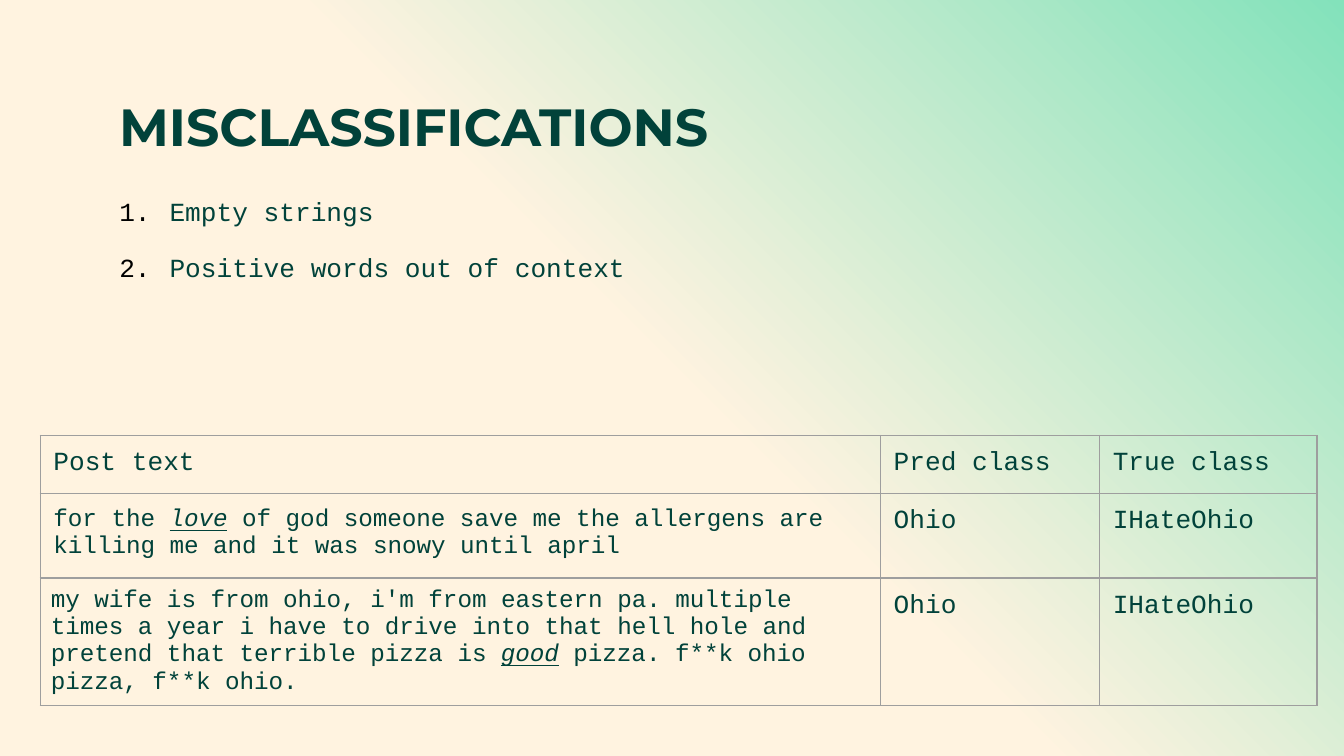
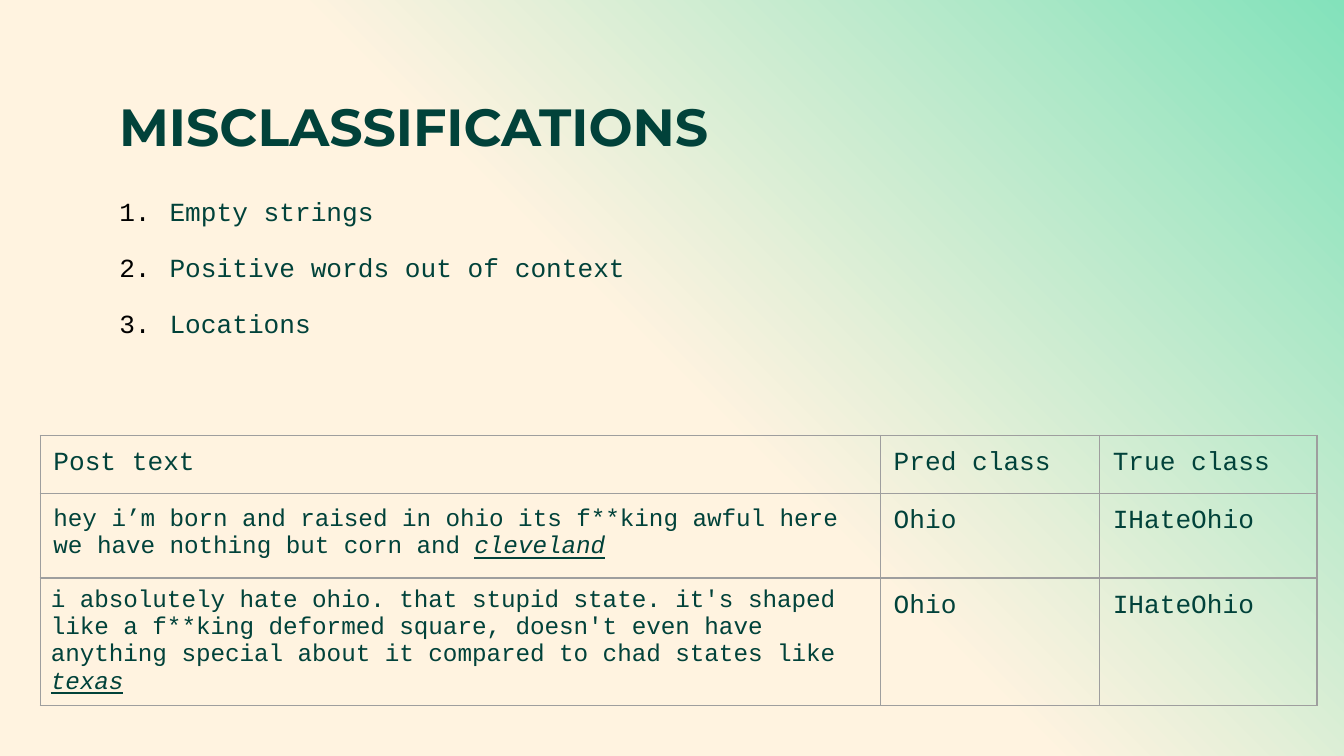
from copy import deepcopy
from dataclasses import dataclass

from lxml.etree import SubElement
from pptx import Presentation
from pptx.dml.color import RGBColor
from pptx.enum.text import MSO_ANCHOR, MSO_AUTO_SIZE, PP_ALIGN
from pptx.oxml.ns import qn
from pptx.util import Cm, Pt

INK = "01423A"
CREAM = "FFF3E0"
MINT = "83E2BB"
RULE = "9E9E9E"
BLACK = "000000"
TITLE_FONT = "Montserrat"
TEXT_FONT = "Courier New"

TITLE = "MISCLASSIFICATIONS"
HEADINGS = ("Post text", "Pred class", "True class")
COLUMN_WIDTHS = (15.88, 4.14, 4.11)
ROW_HEIGHTS = (1.07, 1.53, 2.4)
ITEM_PITCH = 1.02
HANGING = Cm(0.95)


@dataclass(frozen=True)
class Post:
    before: str
    stressed: str
    after: str = ""
    predicted: str = "Ohio"
    actual: str = "IHateOhio"


@dataclass(frozen=True)
class ErrorPage:
    causes: tuple[str, ...]
    posts: tuple[Post, Post]


PAGES = (
    ErrorPage(
        ("Empty strings", "Positive words out of context"),
        (
            Post("for the ", "love",
                 " of god someone save me the allergens are killing me"
                 " and it was snowy until april"),
            Post("my wife is from ohio, i'm from eastern pa. multiple times a year"
                 " i have to drive into that hell hole and pretend that"
                 " terrible pizza is ", "good",
                 " pizza. f**k ohio pizza, f**k ohio."),
        ),
    ),
    ErrorPage(
        ("Empty strings", "Positive words out of context", "Locations"),
        (
            Post("hey i’m born and raised in ohio its f**king awful here"
                 " we have nothing but corn and ", "cleveland"),
            Post("i absolutely hate ohio. that stupid state. it's shaped like"
                 " a f**king deformed square, doesn't even have anything special"
                 " about it compared to chad states like ", "texas"),
        ),
    ),
)


def colour(value: str) -> RGBColor:
    return RGBColor.from_string(value)


def add_span(para, text: str, size: float, font: str = TEXT_FONT,
             bold: bool = False, stressed: bool = False) -> None:
    span = para.add_run()
    span.text = text
    span.font.name = font
    span.font.size = Pt(size)
    span.font.color.rgb = colour(INK)
    span.font.bold = bold
    if stressed:
        span.font.italic = True
        span.font.underline = True


def place(box, left: float, top: float, width: float, height: float) -> None:
    box.left, box.top, box.width, box.height = map(Cm, (left, top, width, height))


def set_margins(holder, horizontal: float, vertical: float) -> None:
    holder.margin_left = holder.margin_right = Cm(horizontal)
    holder.margin_top = holder.margin_bottom = Cm(vertical)


def paint_background(deck) -> None:
    master = deck.slide_master
    fill = master.background.fill
    fill.gradient()
    fill.gradient_angle = 45
    stops = master.element.find(".//" + qn("a:gsLst"))
    stops.insert(1, deepcopy(stops[0]))
    for stop, position, value in zip(fill.gradient_stops, (0, 0.5, 1), (CREAM, CREAM, MINT)):
        stop.position = position
        stop.color.rgb = colour(value)


def write_title(box) -> None:
    place(box, 2, 1.5, 21.4, 1.75)
    frame = box.text_frame
    frame.auto_size = MSO_AUTO_SIZE.NONE
    frame.vertical_anchor = MSO_ANCHOR.MIDDLE
    set_margins(frame, 0.25, 0.25)
    para = frame.paragraphs[0]
    para.alignment = PP_ALIGN.LEFT
    add_span(para, TITLE, 28, TITLE_FONT, bold=True)


def number_paragraph(para) -> None:
    properties = para._p.get_or_add_pPr()
    properties.set("marL", str(HANGING))
    properties.set("indent", str(-HANGING))
    bullet_colour = SubElement(properties, qn("a:buClr"))
    SubElement(bullet_colour, qn("a:srgbClr"), val=BLACK)
    SubElement(properties, qn("a:buFont"), typeface=TEXT_FONT)
    SubElement(properties, qn("a:buAutoNum"), type="arabicPeriod")


def write_causes(box, causes: tuple[str, ...]) -> None:
    place(box, 2, 3.53, 14.48, len(causes) * ITEM_PITCH - 0.16)
    frame = box.text_frame
    frame.auto_size = MSO_AUTO_SIZE.SHAPE_TO_FIT_TEXT
    for index, cause in enumerate(causes):
        para = frame.add_paragraph() if index else frame.paragraphs[0]
        para.line_spacing = 1.07
        para.space_before = Pt(0)
        para.space_after = Pt(12)
        number_paragraph(para)
        add_span(para, cause, 14)


def outline_cell(cell) -> None:
    properties = cell._tc.get_or_add_tcPr()
    for index, side in enumerate(("lnL", "lnR", "lnT", "lnB")):
        line = SubElement(properties, qn("a:" + side), w=str(Pt(0.75)))
        fill = SubElement(line, qn("a:solidFill"))
        SubElement(fill, qn("a:srgbClr"), val=RULE)
        properties.insert(index, line)


def add_posts(page, posts: tuple[Post, Post]) -> None:
    table = page.shapes.add_table(
        len(ROW_HEIGHTS), len(COLUMN_WIDTHS), Cm(0.76), Cm(8.23),
        Cm(sum(COLUMN_WIDTHS)), Cm(sum(ROW_HEIGHTS))).table
    table.first_row = False
    table.horz_banding = False
    for column, width in zip(table.columns, COLUMN_WIDTHS):
        column.width = Cm(width)
    for row, height in zip(table.rows, ROW_HEIGHTS):
        row.height = Cm(height)
    for cell in table.iter_cells():
        cell.fill.background()
        set_margins(cell, 0.25, 0.25)
        outline_cell(cell)
    for column, heading in enumerate(HEADINGS):
        add_span(table.cell(0, column).text_frame.paragraphs[0], heading, 14)
    for row, post in enumerate(posts, 1):
        para = table.cell(row, 0).text_frame.paragraphs[0]
        add_span(para, post.before, 13)
        add_span(para, post.stressed, 13, stressed=True)
        if post.after:
            add_span(para, post.after, 13)
        for column, label in enumerate((post.predicted, post.actual), 1):
            add_span(table.cell(row, column).text_frame.paragraphs[0], label, 14)
    long_post = table.cell(2, 0)
    long_post.vertical_anchor = MSO_ANCHOR.MIDDLE
    set_margins(long_post, 0.2, 0.1)


def main() -> None:
    deck = Presentation()
    deck.slide_width, deck.slide_height = Cm(25.4), Cm(14.29)
    paint_background(deck)
    for content in PAGES:
        page = deck.slides.add_slide(deck.slide_layouts[1])
        write_title(page.shapes.title)
        write_causes(page.placeholders[1], content.causes)
        add_posts(page, content.posts)
    deck.save("out.pptx")


if __name__ == "__main__":
    main()
